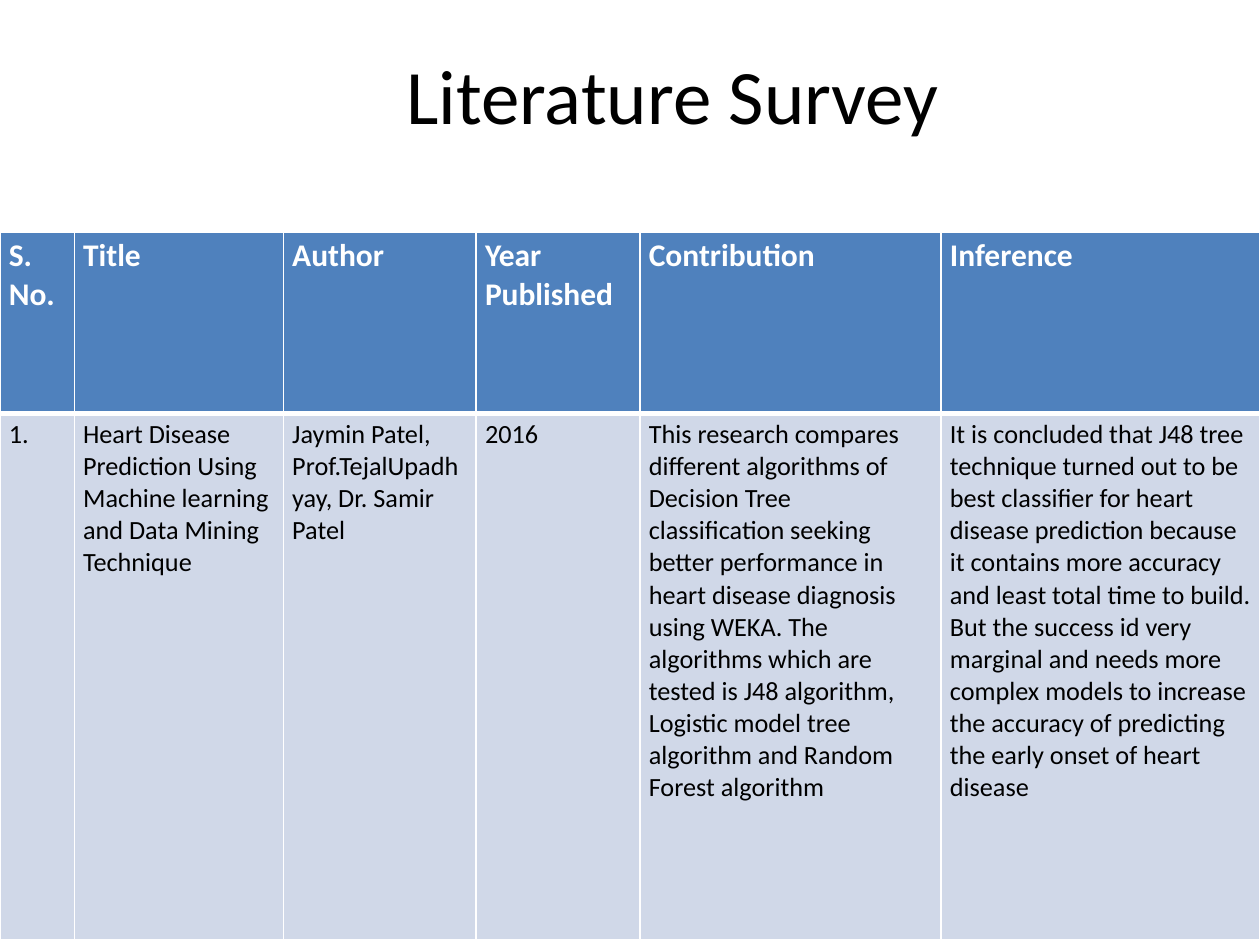
from lxml.etree import SubElement
from pptx import Presentation
from pptx.dml.color import RGBColor
from pptx.enum.text import MSO_ANCHOR, MSO_AUTO_SIZE, PP_ALIGN
from pptx.oxml.ns import qn
from pptx.util import Inches, Pt

WHITE = RGBColor(0xFF, 0xFF, 0xFF)
BLACK = RGBColor(0, 0, 0)
BLUE = RGBColor(0x4F, 0x81, 0xBD)
PALE = RGBColor(0xD0, 0xD8, 0xE8)
FONT = "Calibri"

COLS = [0.59, 1.66, 1.53, 1.3, 2.39, 2.53]
ROWS = [1.44, 4.18]
HEADS = ["S. No.", "Title", "Author", "Year Published", "Contribution", "Inference"]
PAPER = [
    "1.",
    "Heart Disease Prediction Using Machine learning and Data Mining Technique",
    "Jaymin Patel, Prof.TejalUpadhyay, Dr. Samir Patel",
    "2016",
    "This research compares different algorithms of Decision Tree classification "
    "seeking better performance in heart disease diagnosis using WEKA. The "
    "algorithms which are tested is J48 algorithm, Logistic model tree algorithm "
    "and Random Forest algorithm",
    "It is concluded that J48 tree technique turned out to be best classifier for "
    "heart disease prediction because it contains more accuracy and least total "
    "time to build. But the success id very marginal and needs more complex models "
    "to increase the accuracy of predicting the early onset of heart disease",
]


def write(frame, text, size=15, color=BLACK, bold=False, align=PP_ALIGN.LEFT):
    """Put formatted text in a text frame."""
    para = frame.paragraphs[0]
    para.alignment = align
    run = para.add_run()
    run.text = text
    font = run.font
    font.name, font.size, font.bold = FONT, Pt(size), bold
    font.color.rgb = color


def edge(cell, base):
    """Draw white borders, with the bottom one of the given width."""
    props = cell._tc.get_or_add_tcPr()
    widths = {"a:lnL": 1, "a:lnR": 1, "a:lnT": 1, "a:lnB": base}
    for spot, (tag, width) in enumerate(widths.items()):
        line = SubElement(props, qn(tag), w=str(Pt(width)))
        fill = SubElement(line, qn("a:solidFill"))
        SubElement(fill, qn("a:srgbClr"), val=str(WHITE))
        props.insert(spot, line)


def add_title(slide, text):
    """Place and format the slide title."""
    title = slide.shapes.title
    title.left, title.top = Inches(0.5), Inches(0.3)
    title.width, title.height = Inches(9), Inches(1.25)
    frame = title.text_frame
    frame.word_wrap = True
    frame.auto_size = MSO_AUTO_SIZE.NONE
    frame.vertical_anchor = MSO_ANCHOR.TOP
    frame.margin_left, frame.margin_top = Inches(0.78), Inches(0.08)
    write(frame, text, size=44, align=PP_ALIGN.CENTER)


def add_row(table, row, texts, fill, base, **style):
    """Fill one table row with texts in one style."""
    for col, text in enumerate(texts):
        cell = table.cell(row, col)
        cell.margin_left = cell.margin_right = Inches(0.07)
        cell.margin_top = cell.margin_bottom = Inches(0.04)
        cell.vertical_anchor = MSO_ANCHOR.TOP
        cell.fill.solid()
        cell.fill.fore_color.rgb = fill
        edge(cell, base)
        write(cell.text_frame, text, **style)


def add_survey(slide):
    """Add the table of surveyed papers."""
    frame = slide.shapes.add_table(
        len(ROWS), len(COLS), Inches(0), Inches(1.84),
        Inches(sum(COLS)), Inches(sum(ROWS)))
    table = frame.table
    for col, width in zip(table.columns, COLS):
        col.width = Inches(width)
    for row, height in zip(table.rows, ROWS):
        row.height = Inches(height)
    add_row(table, 0, HEADS, BLUE, 3, size=18, color=WHITE, bold=True)
    add_row(table, 1, PAPER, PALE, 1)
    # The shared edge takes its width from both rows.
    for cell in table.rows[1].cells:
        cell._tc.tcPr.find(qn("a:lnT")).set("w", str(Pt(3)))


def main():
    """Build the slide and save it."""
    deck = Presentation()
    deck.slide_width, deck.slide_height = Inches(10), Inches(7.5)
    slide = deck.slides.add_slide(deck.slide_layouts[5])
    add_survey(slide)
    add_title(slide, "Literature Survey")
    deck.save("out.pptx")


main()
